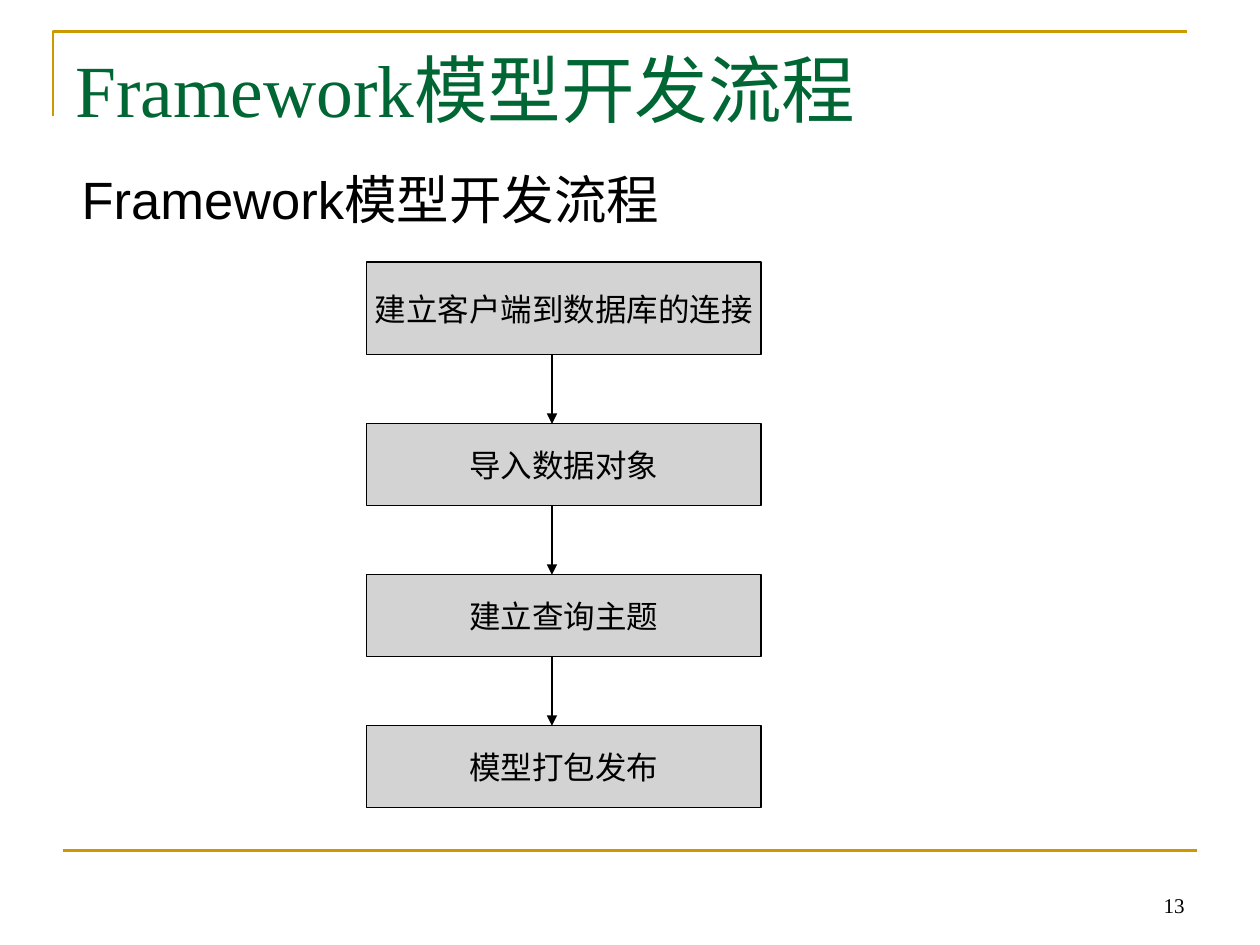
from dataclasses import dataclass
from itertools import pairwise

from lxml.etree import SubElement
from pptx import Presentation
from pptx.dml.color import RGBColor as RGB
from pptx.enum.shapes import MSO_CONNECTOR as Link, MSO_SHAPE as Shape
from pptx.enum.text import MSO_ANCHOR as Anchor, MSO_AUTO_SIZE as Fit, PP_ALIGN as Align
from pptx.oxml.ns import qn
from pptx.util import Inches, Pt


@dataclass(frozen=True)
class Theme:
    gold: RGB = RGB(0xCC, 0x99, 0x00)
    green: RGB = RGB(0x00, 0x66, 0x33)
    grey: RGB = RGB(0xD3, 0xD3, 0xD3)
    black: RGB = RGB(0, 0, 0)
    serif: str = "Times New Roman"
    sans: str = "Arial"
    title: Pt = Pt(42)
    body: Pt = Pt(30)
    step: Pt = Pt(18)
    number: Pt = Pt(12)
    rule: Pt = Pt(1.5)
    thin: Pt = Pt(0.75)


@dataclass(frozen=True)
class Box:
    left: int
    top: int
    width: int
    height: int

    @property
    def right(self):
        return self.left + self.width

    @property
    def bottom(self):
        return self.top + self.height

    @property
    def bounds(self):
        return self.left, self.top, self.width, self.height

    def area(self, left, top, width, height):
        return Box(round(self.left + left * self.width), round(self.top + top * self.height),
                   round(width * self.width), round(height * self.height))


THEME = Theme()
STEPS = ["建立客户端到数据库的连接", "导入数据对象", "建立查询主题", "模型打包发布"]


def apply(target, values):
    for name, value in values.items():
        setattr(target, name, value)


def write(holder, wording, size, face, color, align=Align.LEFT, anchor=Anchor.TOP, wrap=True):
    frame = holder.text_frame
    apply(frame, {"word_wrap": wrap, "auto_size": Fit.NONE, "vertical_anchor": anchor,
                  "margin_left": Inches(0.1), "margin_right": Inches(0.1),
                  "margin_top": Inches(0.05), "margin_bottom": Inches(0.05)})
    line = frame.paragraphs[0]
    line.alignment = align
    run = line.add_run()
    run.text = wording
    apply(run.font, {"size": size, "name": face})
    run.font.color.rgb = color


def outline(item, color, weight):
    item.line.color.rgb = color
    item.line.width = weight


def connect(slide, start, end, color, weight, arrow=False):
    link = slide.shapes.add_connector(Link.STRAIGHT, *start, *end)
    outline(link, color, weight)
    properties = link._element.spPr
    if arrow:
        SubElement(properties.find(qn("a:ln")), qn("a:tailEnd"), type="triangle")
    SubElement(properties, qn("a:effectLst"))


def draw_frame(slide, corner, base):
    builder = slide.shapes.build_freeform(corner.left, corner.bottom)
    builder.add_line_segments([(corner.left, corner.top), (corner.right, corner.top)], close=False)
    bracket = builder.convert_to_shape()
    bracket.shadow.inherit = False
    bracket.fill.background()
    outline(bracket, THEME.gold, THEME.rule)
    connect(slide, (base.left, base.top), (base.right, base.top), THEME.gold, THEME.rule)


def draw_title(slide, box, wording):
    title = slide.shapes.title
    apply(title, {"left": box.left, "top": box.top, "width": box.width, "height": box.height})
    write(title, wording, THEME.title, THEME.serif, THEME.green)


def draw_subject(slide, box, wording):
    subject = slide.shapes.add_textbox(*box.bounds)
    write(subject, wording, THEME.body, THEME.sans, THEME.black)


def draw_flow(slide, box, steps):
    first, later = 0.17, 0.15
    pitch = (1 - first) / (len(steps) - 1)
    places = []
    for index, wording in enumerate(steps):
        height = later if index else first
        place = box.area(0, first + index * pitch - height, 1, height)
        process = slide.shapes.add_shape(Shape.FLOWCHART_PROCESS, *place.bounds)
        process.shadow.inherit = False
        process.fill.solid()
        process.fill.fore_color.rgb = THEME.grey
        outline(process, THEME.black, THEME.thin)
        write(process, wording, THEME.step, THEME.sans, THEME.black,
              Align.CENTER, Anchor.MIDDLE, wrap=False)
        places.append(place)
    track = box.area(0.47, 0, 0, 1).left
    for above, below in pairwise(places):
        connect(slide, (track, above.bottom), (track, below.top),
                THEME.black, THEME.thin, arrow=True)


def draw_number(slide, box, number):
    folio = slide.shapes.add_textbox(*box.bounds)
    write(folio, number, THEME.number, THEME.serif, THEME.black, Align.RIGHT, Anchor.BOTTOM)


def main():
    deck = Presentation()
    apply(deck, {"slide_width": Inches(10), "slide_height": Inches(7.5)})
    slide = deck.slides.add_slide(deck.slide_layouts[5])
    canvas = Box(0, 0, deck.slide_width, deck.slide_height)
    grid = canvas.area(0, 0, 0.01, 0.01)
    topic = "Framework模型开发流程"
    draw_frame(slide, grid.area(4.2, 3.33, 90, 8.93), grid.area(5, 90, 90, 0))
    draw_number(slide, grid.area(71.7, 91.07, 23.3, 6.67), "13")
    draw_title(slide, grid.area(5, 4, 90, 16.67), topic)
    draw_subject(slide, grid.area(5.5, 17.07, 88, 71.33), topic)
    draw_flow(slide, grid.area(29.1, 27.73, 31.3, 57.73), STEPS)
    deck.save("out.pptx")


if __name__ == "__main__":
    main()
